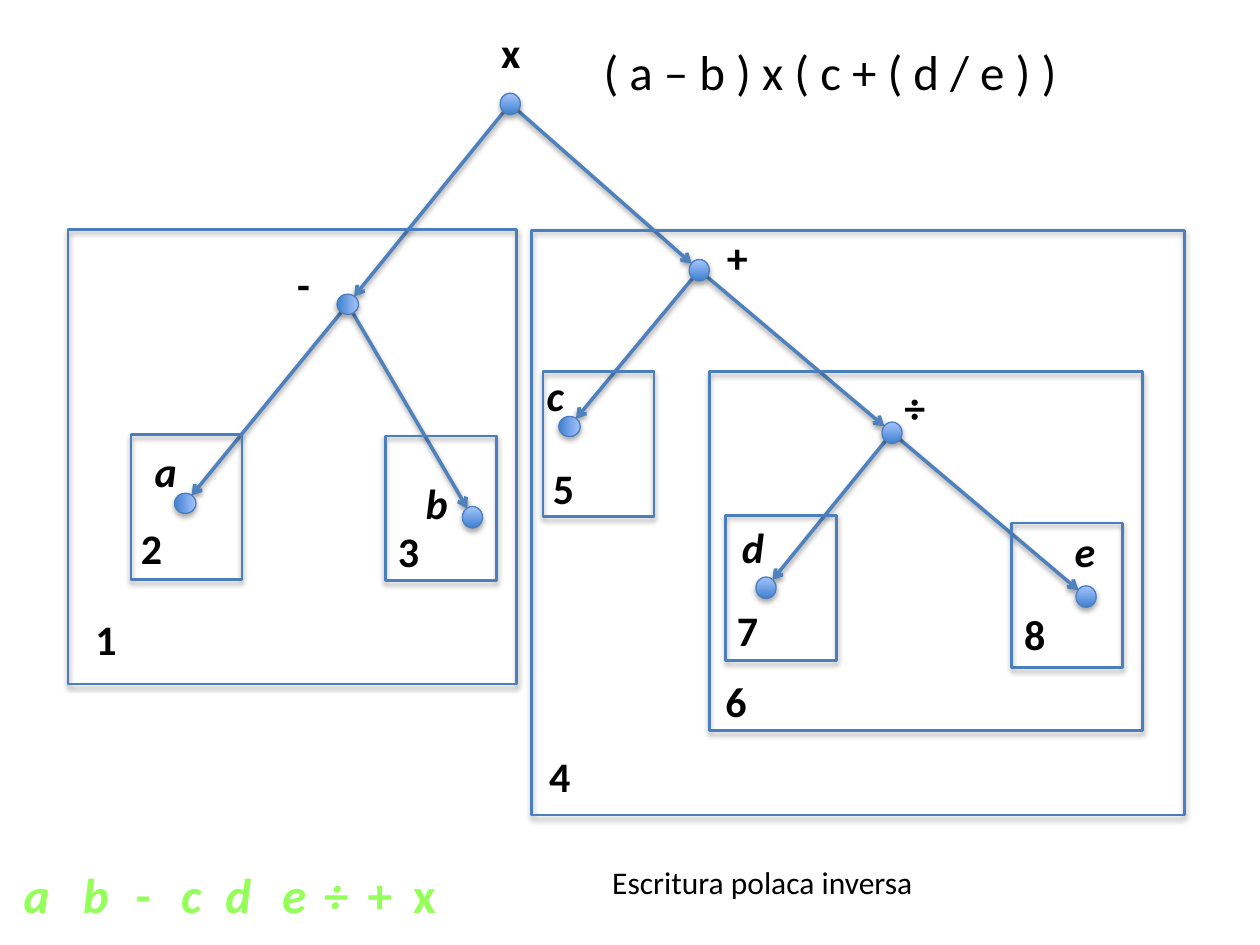
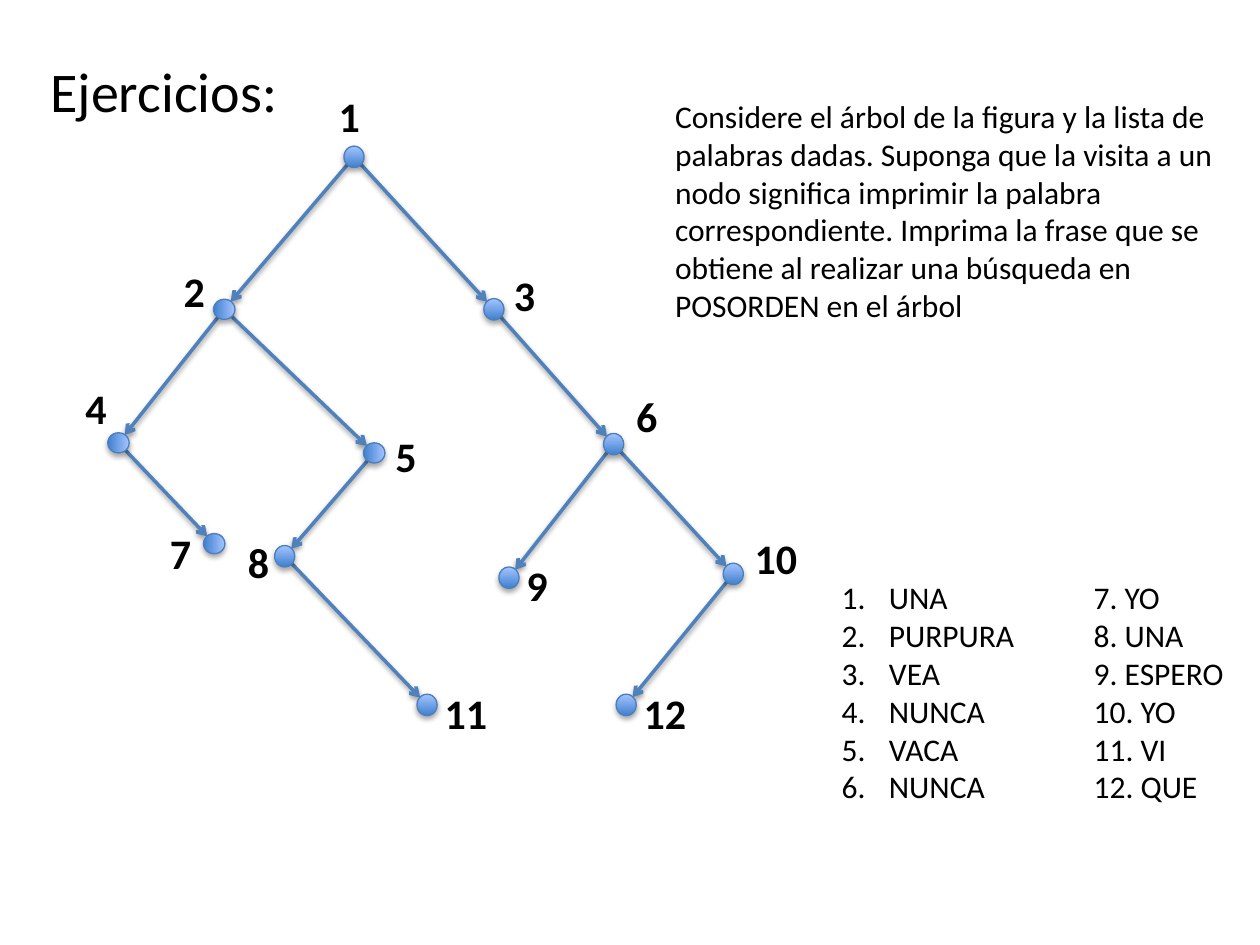
import math
from lxml import etree
from pptx import Presentation
from pptx.dml.color import RGBColor
from pptx.enum.shapes import MSO_CONNECTOR, MSO_SHAPE
from pptx.enum.text import MSO_ANCHOR, MSO_AUTO_SIZE, PP_ALIGN
from pptx.oxml.ns import qn
from pptx.util import Inches, Pt

STRAIGHT = MSO_CONNECTOR.STRAIGHT
OVAL, RECT = MSO_SHAPE.OVAL, MSO_SHAPE.RECTANGLE
TOP, LEFT, NO_FIT = MSO_ANCHOR.TOP, PP_ALIGN.LEFT, MSO_AUTO_SIZE.NONE

COLORS = {"text": "000000", "edge": "4F81BD", "rim": "4B7EBC", "dark": "3F80CE",
          "light": "A4C4FF", "green": "94FF58", "moss": "295E12", "shade": "000000"}
FONT = "Calibri"

# Grid of 100 columns by 75 rows; every length below counts its cells
WIDTH, HEIGHT = Inches(10), Inches(7.5)
CELL = WIDTH / 100
NODE_W, NODE_H, REACH = 1.6, 1.7, 0.8
LEAF_W, LEAF_H = 8.8, 11.5

# Node: centre x, centre y, label offset x, label offset y, turned
MATH_NODES = {
    "x": (30.5, 8.25, -1.7, -6.65, False),
    "-": (17.6, 24.15, -5, -4.15, True),
    "+": (45.5, 21.45, 1.2, -3.55, False),
    "÷": (60.8, 34.35, 0, -4.55, False),
    "a": (4.7, 39.95, -3.4, -5.05, True),
    "b": (27.5, 41.05, -4.7, -3.65, False),
    "c": (35.2, 33.85, -2.8, -5.05, True),
    "d": (50.8, 46.65, -2.9, -5.75, False),
    "e": (76.2, 47.35, -1.9, -6.15, False),
}
MATH_KIDS = {"x": "-+", "-": "ab", "+": "c÷", "÷": "de"}

# Frame: left, top, width, height, number offset from the lower left corner
FRAMES = [
    (0, 0, 35.6, 36.1, 1.2, -6.1),
    (5, 16.3, LEAF_W, LEAF_H, -0.2, -5),
    (25.2, 16.4, LEAF_W, LEAF_H, 0, -4.9),
    (36.8, 0.1, 51.8, 46.4, 0.4, -5.6),
    (37.7, 11.3, LEAF_W, LEAF_H, -0.2, -4.8),
    (50.9, 11.3, 34.4, 28.5, 0.3, -4.9),
    (52.2, 22.7, LEAF_W, LEAF_H, -0.1, -4.9),
    (74.9, 23.3, LEAF_W, LEAF_H, 0, -5.2),
]
POSTFIX = zip("ab-cde÷+x", (0, 4.7, 8.9, 12.5, 16, 20.5, 23.8, 27.3, 30.9))

WORD_NODES = {
    "1": (28.1, 2.45, -2.2, -5.75, False),
    "2": (17.8, 14.55, -4.2, -3.95, True),
    "3": (39.2, 14.55, 0.6, -3.65, False),
    "4": (9.4, 25.15, -3.6, -5.25, True),
    "5": (29.7, 25.95, 0.7, -2.25, True),
    "6": (48.7, 25.25, 0.8, -4.75, False),
    "7": (17, 33.15, -4.5, -1.75, True),
    "8": (22.6, 34.15, -3.9, -2.05, False),
    "9": (40.4, 35.85, 0.4, -1.95, False),
    "10": (58.2, 35.55, 0.7, -3.75, False),
    "11": (33.9, 45.95, 0.4, -1.85, False),
    "12": (49.7, 45.95, 0.4, -1.85, False),
}
WORD_KIDS = {"1": ["2", "3"], "2": ["4", "5"], "3": ["6"], "4": ["7"], "5": ["8"],
             "6": ["9", "10"], "8": ["11"], "10": ["12"]}
WORDS = ["UNA", "PURPURA", "VEA", "NUNCA", "VACA", "NUNCA",
         "YO", "UNA", "ESPERO", "YO", "VI", "QUE"]
TASK = ("Considere el árbol de la figura y la lista de palabras dadas. "
        "Suponga que la visita a un nodo significa imprimir la palabra correspondiente. "
        "Imprima la frase que se obtiene al realizar una búsqueda en POSORDEN en el árbol")


def cells(*sizes):
    return [round(size * CELL) for size in sizes]


def rgb(name):
    return RGBColor.from_string(COLORS[name])


def add_xml(parent, tag, **attrs):
    return etree.SubElement(parent, qn(tag), attrs)


def cast(shape, alpha, drop):
    """Give a shape or line its soft shadow."""
    props = shape._element.spPr
    for old in props.findall(qn("a:effectLst")):
        props.remove(old)
    outer = add_xml(add_xml(props, "a:effectLst"), "a:outerShdw", blurRad=str(Pt(3.1)),
                    dist=str(Pt(drop)), dir="5400000", rotWithShape="0")
    shade = add_xml(outer, "a:srgbClr", val=COLORS["shade"])
    add_xml(shade, "a:alpha", val=str(alpha * 1000))


def style(frame, size, color="text", bold=None, italic=None):
    for para in frame.paragraphs:
        for run in para.runs:
            font = run.font
            font.name, font.size = FONT, Pt(size)
            font.bold, font.italic = bold, italic
            font.color.rgb = rgb(color)


def write(slide, box, text, size, **look):
    frame = slide.shapes.add_textbox(*cells(*box)).text_frame
    frame.word_wrap = True
    frame.text = text
    style(frame, size, **look)
    return frame


def fit(holder, box):
    """Move a placeholder and clear its inherited layout."""
    holder.left, holder.top, holder.width, holder.height = cells(*box)
    frame = holder.text_frame
    frame.auto_size, frame.vertical_anchor = NO_FIT, TOP
    return frame


def title(slide, box, text, size):
    frame = fit(slide.shapes.title, box)
    frame.text = text
    frame.paragraphs[0].alignment = LEFT
    style(frame, size)


def edge(slide, start, end):
    gap = math.dist(start, end)
    dx, dy = [(b - a) * REACH / gap for a, b in zip(start, end)]
    line = slide.shapes.add_connector(
        STRAIGHT, *cells(start[0] + dx, start[1] + dy, end[0] - dx, end[1] - dy))
    line.line.color.rgb, line.line.width = rgb("edge"), Pt(2)
    add_xml(line.line._get_or_add_ln(), "a:tailEnd", type="arrow")
    cast(line, 38, 1.6)


def node(slide, x, y, turned):
    dot = slide.shapes.add_shape(
        OVAL, *cells(x - NODE_W / 2, y - NODE_H / 2, NODE_W, NODE_H))
    dot.rotation = 90 if turned else 0
    dot.fill.gradient()
    dot.fill.gradient_angle = 90
    for stop, name in zip(dot.fill.gradient_stops, ("dark", "light")):
        stop.color.rgb = rgb(name)
    dot.line.color.rgb, dot.line.width = rgb("rim"), Pt(0.75)
    cast(dot, 35, 1.8)


def tree(slide, box, nodes, kids):
    left, top = box
    spots = {key: (left + n[0], top + n[1]) for key, n in nodes.items()}
    for key, below in kids.items():
        for kid in below:
            edge(slide, spots[key], spots[kid])
    for key, (_, _, dx, dy, turned) in nodes.items():
        x, y = spots[key]
        node(slide, x, y, turned)
        write(slide, (x + dx, y + dy, 6.7, 5), key, 24, bold=True, italic=key in "abcde")


def frames(slide, box):
    left, top = box
    for num, (x, y, wide, high, dx, dy) in enumerate(FRAMES, 1):
        x, y = left + x, top + y
        rect = slide.shapes.add_shape(RECT, *cells(x, y, wide, high))
        rect.fill.background()
        rect.line.color.rgb, rect.line.width = rgb("rim"), Pt(1.5)
        cast(rect, 35, 1.8)
        write(slide, (x + dx, y + high + dy, 4.3, 5), str(num), 24, bold=True)


def postfix(slide, box):
    left, top = box
    for sign, x in POSTFIX:
        frame = write(slide, (left + x, top, 4.3, 5.7), sign, 28, color="green",
                      bold=True, italic=sign in "abcde÷")
        # Thin outline around the letter
        props = frame.paragraphs[0].runs[0].font._element
        rim = etree.Element(qn("a:ln"), w=str(Pt(0.75)))
        add_xml(add_xml(rim, "a:solidFill"), "a:srgbClr", val=COLORS["moss"])
        props.insert(0, rim)


def words(slide, box):
    frame = fit(slide.placeholders[1], box)
    half = len(WORDS) // 2
    pairs = zip(WORDS[:half], WORDS[half:])
    frame.text = "\n".join(f"{a}\t{num}. {b}" for num, (a, b) in enumerate(pairs, half + 1))
    indent, stop = cells(3.75, 20)
    for para in frame.paragraphs:
        props = para._p.get_or_add_pPr()
        props.set("marL", str(indent))
        props.set("indent", str(-indent))
        add_xml(props, "a:buFont", typeface="+mj-lt")
        add_xml(props, "a:buAutoNum", type="arabicPeriod")
        add_xml(add_xml(props, "a:tabLst"), "a:tab", pos=str(stop), algn="l")
        para.space_before = Pt(0)
    style(frame, 18)


def math_slide(deck):
    slide = deck.slides.add_slide(deck.slide_layouts[5])
    title(slide, (46.9, 2.8, 49.4, 5.7), "( a – b ) x ( c + ( d / e ) )", 28)
    tree(slide, (10, 0), MATH_NODES, MATH_KIDS)
    frames(slide, (5.4, 18.2))
    postfix(slide, (0.9, 68.1))
    write(slide, (47.6, 68, 41.9, 4), "Escritura polaca inversa", 18)


def word_slide(deck):
    slide = deck.slides.add_slide(deck.slide_layouts[1])
    title(slide, (3, 4, 34.9, 6.4), "Ejercicios:", 32)
    tree(slide, (0, 10), WORD_NODES, WORD_KIDS)
    words(slide, (65.8, 45.4, 33.3, 19.2))
    write(slide, (52.6, 7.2, 47, 19.2), TASK, 18)


def main():
    deck = Presentation()
    deck.slide_width, deck.slide_height = WIDTH, HEIGHT
    math_slide(deck)
    word_slide(deck)
    deck.save("out.pptx")


if __name__ == "__main__":
    main()
